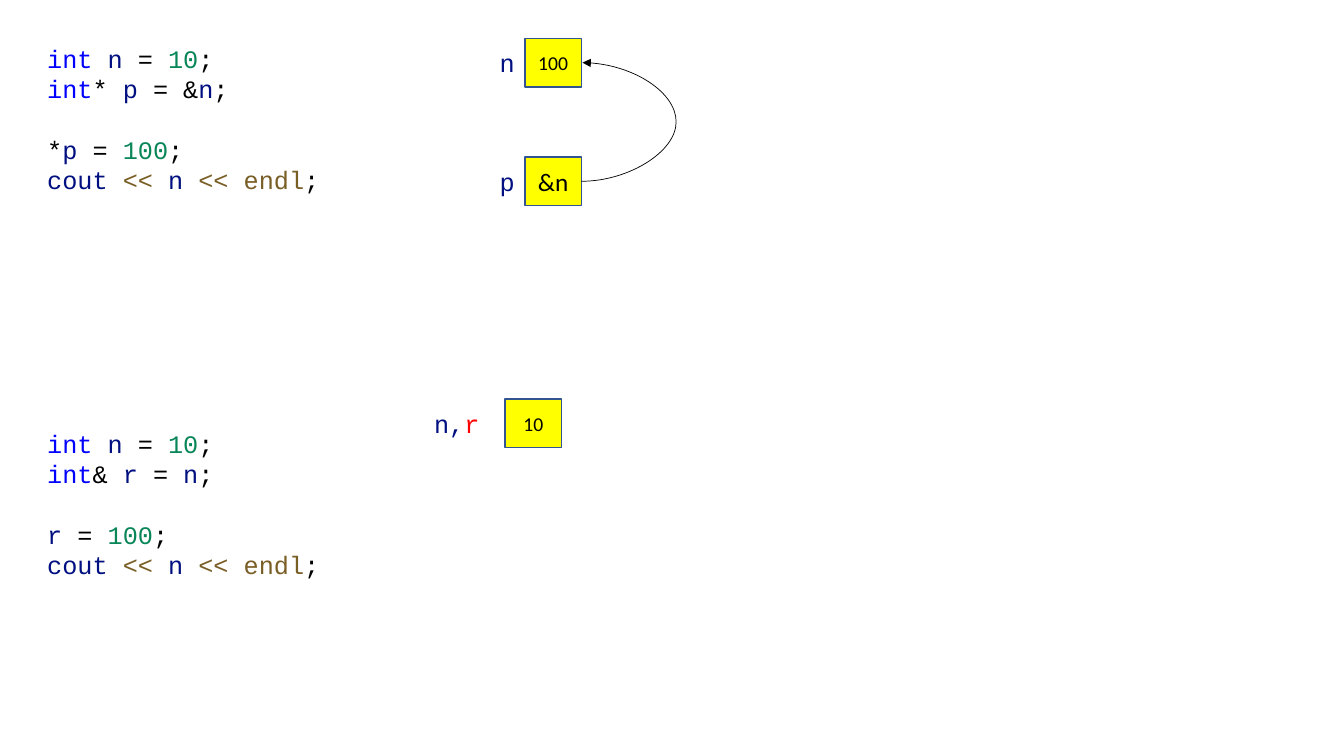
from lxml.etree import SubElement
from pptx import Presentation
from pptx.dml.color import RGBColor
from pptx.enum.shapes import MSO_CONNECTOR as Connector, MSO_SHAPE as Shape
from pptx.enum.text import MSO_ANCHOR as Anchor, MSO_AUTO_SIZE as AutoSize, PP_ALIGN as Align
from pptx.oxml.ns import qn
from pptx.util import Cm, Pt

KEYWORD = RGBColor(0x00, 0x00, 0xFF)
VARIABLE = RGBColor(0x00, 0x10, 0x80)
NUMBER = RGBColor(0x09, 0x86, 0x58)
STREAM = RGBColor(0x79, 0x5E, 0x26)
BLACK = RGBColor(0x00, 0x00, 0x00)
RED = RGBColor(0xFF, 0x00, 0x00)
YELLOW = RGBColor(0xFF, 0xFF, 0x00)
BORDER = RGBColor(0x32, 0x54, 0x91)

CODE_FONT, VALUE_FONT = "Courier New", "Calibri"
CODE_SIZE = 18
GROUP_GAP = Pt(21.6)

DECLARE_N = [("int ", KEYWORD), ("n", VARIABLE), (" = ", BLACK), ("10", NUMBER), (";", BLACK)]
PRINT_N = [("cout ", VARIABLE), ("<< ", STREAM), ("n ", VARIABLE), ("<< endl", STREAM), (";", BLACK)]
ASSIGN_100 = [(" = ", BLACK), ("100", NUMBER), (";", BLACK)]

# Each listing: top and width in cm, then groups of lines
LISTINGS = [
    (0.97, 8.89, [
        [DECLARE_N,
         [("int", KEYWORD), ("* ", BLACK), ("p", VARIABLE), (" = &", BLACK),
          ("n", VARIABLE), (";", BLACK)]],
        [[("*", BLACK), ("p", VARIABLE)] + ASSIGN_100, PRINT_N],
    ]),
    (10.67, 8.23, [
        [DECLARE_N,
         [("int", KEYWORD), ("& ", BLACK), ("r", VARIABLE), (" = ", BLACK),
          ("n", VARIABLE), (";", BLACK)]],
        [[("r", VARIABLE)] + ASSIGN_100, PRINT_N],
    ]),
]

# Each memory cell: left and top in cm, value, value size, label runs, label left and width in cm
CELLS = [
    (13.23, 0.97, "100", 14, [("n", VARIABLE)], 12.34, 0.89),
    (13.23, 3.96, "&n", 18, [("p", VARIABLE)], 12.34, 0.89),
    (12.73, 10.06, "10", 14, [("n,", VARIABLE), ("r", RED)], 10.69, 1.65),
]

LISTING_LEFT, LISTING_HEIGHT = Cm(0.94), Cm(4.11)
CELL_WIDTH, CELL_HEIGHT, LABEL_HEIGHT = Cm(1.42), Cm(1.22), Cm(1.02)
ARROW_WIDTH, ARROW_BULGE = Cm(0.03), Cm(2.39)


def add_runs(paragraph, runs, font_name, size):
    for text, color in runs:
        run = paragraph.add_run()
        run.text = text
        for attribute, value in {"name": font_name, "size": Pt(size)}.items():
            setattr(run.font, attribute, value)
        run.font.color.rgb = color


def add_listing(slide, top, width, groups):
    listing = slide.shapes.add_textbox(LISTING_LEFT, Cm(top), Cm(width), LISTING_HEIGHT)
    frame = listing.text_frame
    frame.word_wrap = True
    frame.auto_size = AutoSize.SHAPE_TO_FIT_TEXT
    line = None
    for group in groups:
        for position, runs in enumerate(group):
            if line is None:
                line = frame.paragraphs[0]
            else:
                line = frame.add_paragraph()
                if position == 0:
                    line.space_before = GROUP_GAP
            add_runs(line, runs, CODE_FONT, CODE_SIZE)


def add_cell(slide, left, top, value, size, label_runs, label_left, label_width):
    """Draw a memory cell with its variable name on the left; return the cell."""
    cell = slide.shapes.add_shape(Shape.RECTANGLE, Cm(left), Cm(top), CELL_WIDTH, CELL_HEIGHT)
    cell.shadow.inherit = False
    cell.fill.solid()
    cell.fill.fore_color.rgb = YELLOW
    cell.line.color.rgb = BORDER
    cell.line.width = Pt(1)
    frame = cell.text_frame
    frame.word_wrap = False
    frame.vertical_anchor = Anchor.MIDDLE
    frame.paragraphs[0].alignment = Align.CENTER
    add_runs(frame.paragraphs[0], [(value, BLACK)], VALUE_FONT, size)

    label_top = cell.top + (CELL_HEIGHT - LABEL_HEIGHT) // 2
    label = slide.shapes.add_textbox(Cm(label_left), label_top, Cm(label_width), LABEL_HEIGHT)
    label.text_frame.word_wrap = False
    label.text_frame.auto_size = AutoSize.SHAPE_TO_FIT_TEXT
    add_runs(label.text_frame.paragraphs[0], label_runs, CODE_FONT, CODE_SIZE)
    return cell


def add_pointer(slide, source, target):
    """Draw a curved arrow between the right sides of two cells."""
    start_x = source.left + source.width
    start_y, end_y = (cell.top + cell.height // 2 for cell in (source, target))
    pointer = slide.shapes.add_connector(
        Connector.CURVE, start_x, start_y, start_x + ARROW_WIDTH, end_y)
    pointer.line.color.rgb = BLACK
    pointer.line.width = Pt(0.5)
    properties = pointer._element.spPr
    guides = properties.find(qn("a:prstGeom")).get_or_add_avLst()
    bulge = round(ARROW_BULGE / ARROW_WIDTH * 100000)
    SubElement(guides, qn("a:gd"), name="adj1", fmla=f"val {bulge}")
    SubElement(properties.find(qn("a:ln")), qn("a:tailEnd"), type="triangle")
    SubElement(properties, qn("a:effectLst"))


def main():
    deck = Presentation()
    deck.slide_width, deck.slide_height = Cm(33.87), Cm(19.05)
    slide = deck.slides.add_slide(deck.slide_layouts[6])
    for listing in LISTINGS:
        add_listing(slide, *listing)
    n_cell, p_cell, _ = [add_cell(slide, *cell) for cell in CELLS]
    add_pointer(slide, p_cell, n_cell)
    deck.save("out.pptx")


if __name__ == "__main__":
    main()
